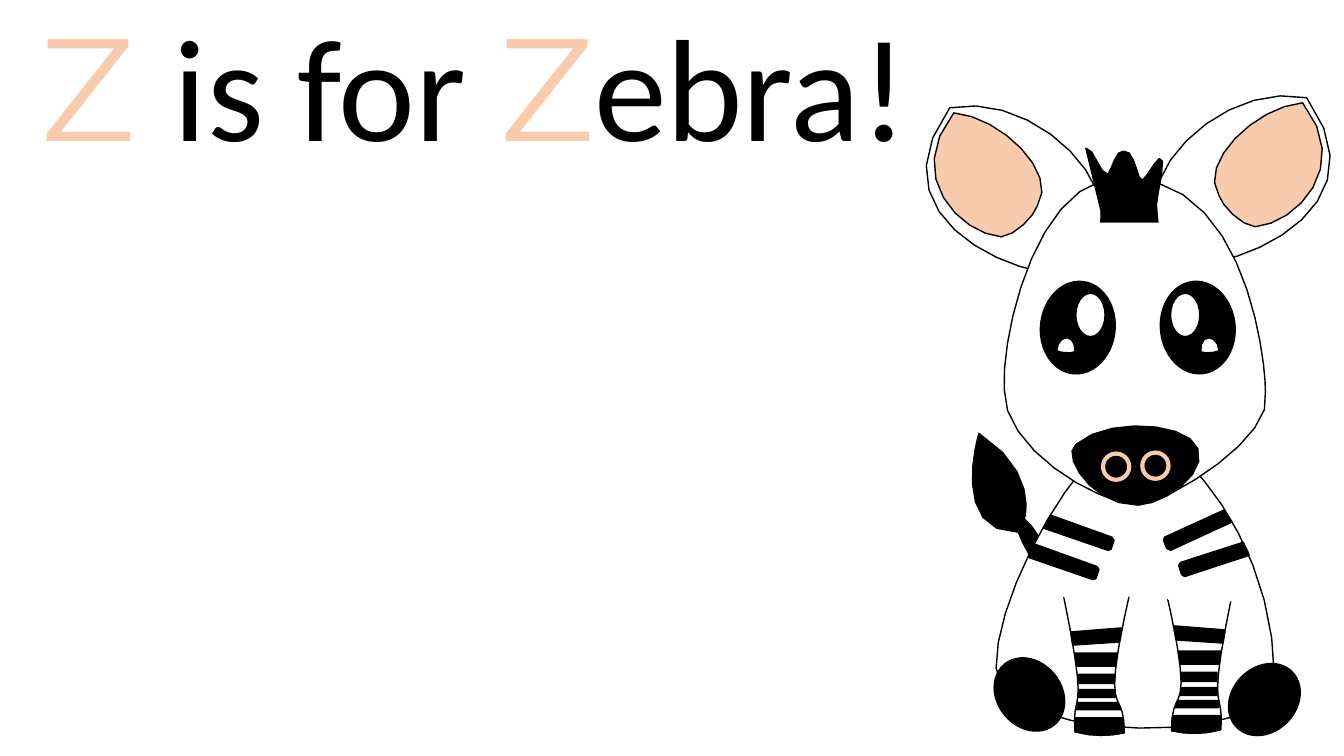
import math
import pptx
import pptx.util
import pptx.dml.color
import pptx.enum.shapes
import pptx.enum.text

BLACK = pptx.dml.color.RGBColor(0x00, 0x00, 0x00)
WHITE = pptx.dml.color.RGBColor(0xFF, 0xFF, 0xFF)
PEACH = pptx.dml.color.RGBColor(0xF8, 0xCB, 0xAD)
OVAL = pptx.enum.shapes.MSO_SHAPE.OVAL
RECT = pptx.enum.shapes.MSO_SHAPE.RECTANGLE

COLS, ROWS = 1333, 750
UNIT = pptx.util.Inches(0.01)
SMOOTHNESS = 0.55

prs = pptx.Presentation()
prs.slide_width, prs.slide_height = COLS * UNIT, ROWS * UNIT
s = prs.slides.add_slide(prs.slide_layouts[6])

tb = s.shapes.add_textbox(-46 * UNIT, -9 * UNIT, 1066 * UNIT, 185 * UNIT)
tf = tb.text_frame
tf.word_wrap = True
tf.auto_size = pptx.enum.text.MSO_AUTO_SIZE.SHAPE_TO_FIT_TEXT
p = tf.paragraphs[0]
p.alignment = pptx.enum.text.PP_ALIGN.CENTER
p.font.size = pptx.util.Pt(104)
for text, font, color in [("Z ", "Montserrat", PEACH), ("is for ", "Calibri", BLACK),
                          ("Z", "Montserrat", PEACH), ("ebra! ", "Calibri", BLACK)]:
    r = p.add_run()
    r.text = text
    r.font.name = font
    r.font.color.rgb = color

zebra = s.shapes.add_group_shape().shapes


def paint(sp, fill, line, weight=1):
    sp.shadow.inherit = False
    sp.fill.solid()
    sp.fill.fore_color.rgb = fill
    if line is None:
        sp.line.fill.background()
    else:
        sp.line.color.rgb = line
        sp.line.width = pptx.util.Pt(weight)


def outline(path, fill, line=BLACK, mirror=None, dx=0, dy=0):
    points = [path[0]]
    for seg in path[1:]:
        if len(seg) == 2:
            points.append(seg)
            continue
        x0, y0 = points[-1]
        x1, y1, x2, y2, x3, y3 = seg
        length = math.dist((x0, y0), (x1, y1)) + math.dist((x1, y1), (x2, y2))
        length += math.dist((x2, y2), (x3, y3))
        steps = math.ceil(SMOOTHNESS * math.sqrt(length))
        for i in range(1, steps + 1):
            t = i / steps
            a, b, c, d = (1 - t) ** 3, 3 * t * (1 - t) ** 2, 3 * t * t * (1 - t), t ** 3
            points.append((a * x0 + b * x1 + c * x2 + d * x3,
                           a * y0 + b * y1 + c * y2 + d * y3))
    if mirror:
        points = [(mirror - x, y) for x, y in points]
    points = [((x + dx) * UNIT, (y + dy) * UNIT) for x, y in points]
    fb = zebra.build_freeform(*points[0], scale=1.0)
    fb.add_line_segments(points[1:], close=True)
    paint(fb.convert_to_shape(), fill, line)


tail = [(1052, 567), (1028, 572, 1016, 543, 1010, 528), (942, 529, 970, 432, 971, 430),
        (1029, 467, 1017, 513, 1016, 515), (1027, 521, 1041, 560, 1051, 540)]
body = [(988, 663), (986, 586, 1079, 427, 1125, 429), (1171, 430, 1264, 538, 1264, 672),
        (1271, 742, 991, 739, 988, 663)]
outline(tail, BLACK)
outline(body, WHITE)

ear = [(1296, 97), (1372, 202, 1243, 260, 1187, 262), (1148, 217),
       (1130, 164, 1218, 81, 1296, 97)]
inner_ear = [(1292, 102), (1342, 165, 1285, 222, 1245, 225), (1231, 224, 1212, 204, 1209, 194),
             (1188, 162, 1245, 106, 1292, 102)]
for mirror, dy in [(None, 0), (2238, 10)]:
    outline(ear, WHITE, mirror=mirror, dy=dy)
    outline(inner_ear, PEACH, mirror=mirror, dy=dy)

head = [(1117, 177), (1238, 176, 1256, 365, 1255, 389), (1266, 433, 1161, 497, 1130, 501),
        (1085, 499, 994, 443, 996, 386), (993, 328, 1031, 169, 1117, 177)]
muzzle = [(1128, 501), (1083, 502, 1052, 451, 1067, 441), (1098, 413, 1179, 419, 1188, 445),
          (1198, 470, 1154, 501, 1128, 501)]
mane = [(1077, 147), (1085, 146, 1091, 174, 1099, 173), (1104, 165, 1107, 149, 1114, 150),
        (1123, 146, 1128, 172, 1130, 176), (1133, 191, 1150, 145, 1153, 160),
        (1153, 174, 1148, 191, 1147, 204), (1150, 237), (1092, 234),
        (1090, 225, 1093, 218, 1092, 209)]
outline(head, WHITE)
outline(muzzle, BLACK)
outline(mane, BLACK)

leg = [(1153, 571), (1224, 580), (1195, 720, 1214, 676, 1211, 724),
       (1193, 729, 1176, 728, 1162, 725), (1161, 673, 1189, 726, 1153, 571)]
hoof = [(1163, 710), (1211, 710), (1210, 724), (1193, 729, 1176, 728, 1162, 725)]
leg_stripes = [
    [(1165, 621), (1215, 625), (1213, 638), (1167, 635)],
    [(1169, 646), (1211, 646), (1209, 659), (1171, 659)],
    [(1171, 667), (1207, 667), (1207, 676), (1172, 676)],
    [(1172, 682), (1207, 682), (1207, 690), (1171, 690)],
    [(1168, 695), (1208, 695), (1209, 702), (1165, 702)],
]
leg_top = [(1238, 582), (1219, 614, 1164, 603, 1148, 588), (1144, 582, 1149, 570, 1153, 567),
           (1164, 553, 1218, 564, 1238, 582)]
for mirror, dy, top_mirror, top_dy in [(None, 0, None, 0), (2277, 2, 2279, -3)]:
    outline(leg, WHITE, mirror=mirror, dy=dy)
    for dark in [hoof] + leg_stripes:
        outline(dark, BLACK, mirror=mirror, dy=dy)
    outline(leg_top, WHITE, line=None, mirror=top_mirror, dy=top_dy)

upper_right = [(1222, 518), (1161, 546), (1157, 544), (1154, 536), (1155, 533),
               (1214, 506), (1220, 515)]
lower_right = [(1239, 551), (1175, 572), (1172, 570), (1169, 561), (1171, 558),
               (1233, 538), (1238, 548)]
left_stripe = [(1035, 524), (1099, 546), (1102, 545), (1105, 536), (1103, 533),
               (1042, 511), (1037, 520)]
outline(upper_right, BLACK)
outline(lower_right, BLACK)
for row in range(2):
    outline(left_stripe, BLACK, dx=-15 * row, dy=29 * row)

for kind, x, y, w, h, turn, fill, line, weight in [
    (RECT, 1086, 221, 70, 33, 0, WHITE, None, 0),
    (OVAL, 1094, 450, 26, 26, 0, BLACK, PEACH, 3),
    (OVAL, 1133, 449, 26, 26, 0, BLACK, PEACH, 3),
    (OVAL, 1222, 655, 64, 78, 44.3, BLACK, BLACK, 1),
    (OVAL, 989, 650, 64, 78, 320.7, BLACK, BLACK, 1),
    (OVAL, 1032, 279, 74, 92, 6, BLACK, BLACK, 1),
    (OVAL, 1067, 291, 29, 43, 0, WHITE, BLACK, 1),
    (OVAL, 1151, 279, 74, 92, 354, BLACK, BLACK, 1),
    (OVAL, 1161, 291, 29, 43, 0, WHITE, BLACK, 1),
]:
    sp = zebra.add_shape(kind, x * UNIT, y * UNIT, w * UNIT, h * UNIT)
    sp.rotation = turn
    paint(sp, fill, line, weight)

glint = [(1066, 349), (1067, 341, 1063, 335, 1058, 335), (1053, 335, 1048, 341, 1048, 348),
         (1050, 350, 1065, 351, 1066, 349)]
for mirror in (None, 2257):
    outline(glint, WHITE, mirror=mirror)

prs.save("out.pptx")
